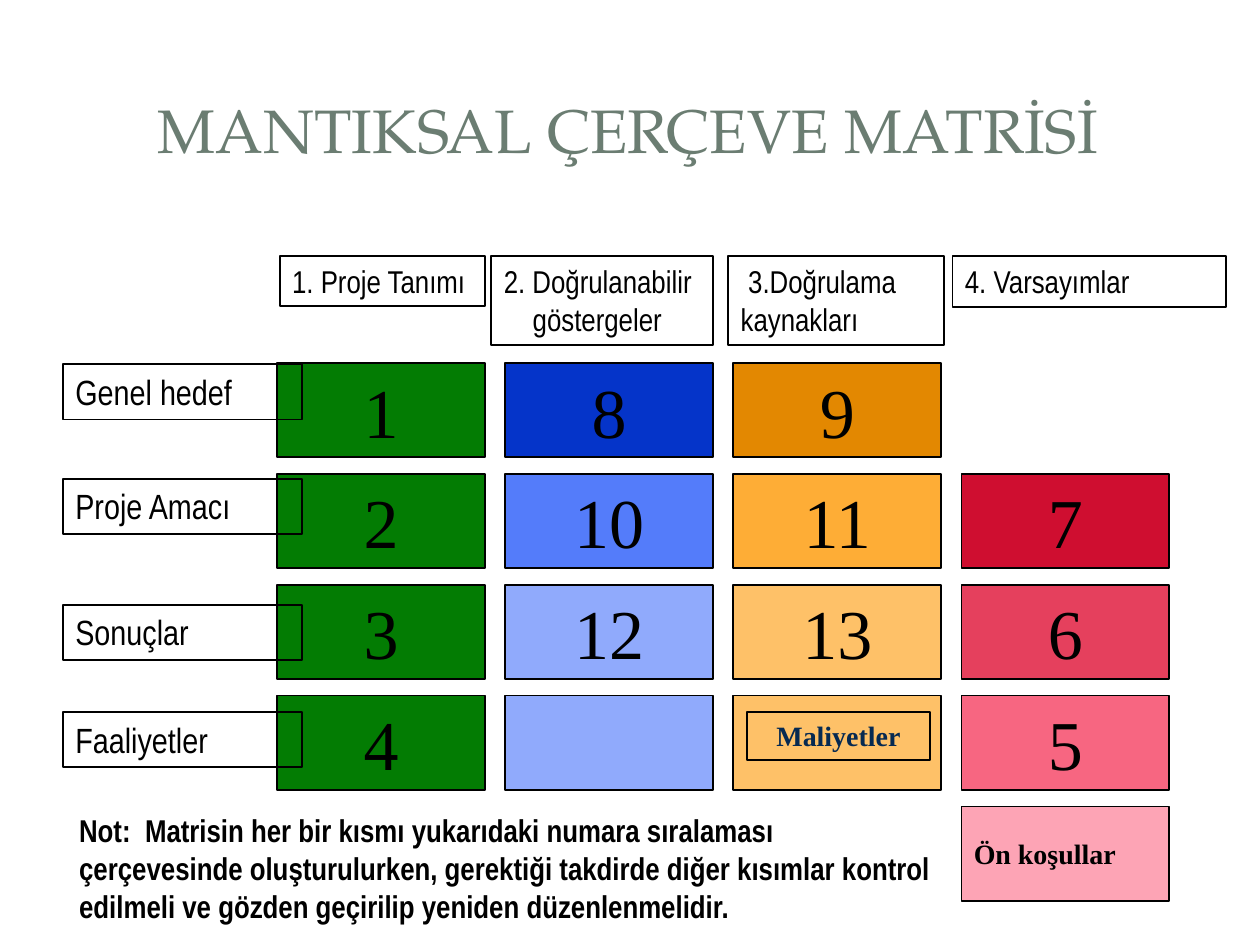
from pptx import Presentation
from pptx.dml.color import RGBColor
from pptx.enum.shapes import MSO_SHAPE
from pptx.enum.text import MSO_ANCHOR, PP_ALIGN
from pptx.util import Inches, Pt

RECTANGLE = MSO_SHAPE.RECTANGLE
TOP, MIDDLE = MSO_ANCHOR.TOP, MSO_ANCHOR.MIDDLE
LEFT, CENTER = PP_ALIGN.LEFT, PP_ALIGN.CENTER

SERIF, NARROW, TITLE_FONT = "Times New Roman", "Arial Narrow", "TeX Gyre Pagella"
COLOURS = {
    "title": "6B7D72", "ink": "000000", "costs": "062951", "green": "037C03",
    "blue": "0534C9", "mid blue": "547CFA", "light blue": "90AAFC",
    "orange": "E38801", "mid orange": "FEAD36", "light orange": "FEC168",
    "red": "CF0E30", "mid red": "E5405D", "light red": "F76681", "pink": "FDA4B5",
}

GRID_LEFT, GRID_TOP = 2.2, 2.88
COLUMN_STEP, ROW_STEP = 1.81, 0.88
CELL_WIDTH, CELL_HEIGHT = 1.65, 0.75

MATRIX = [
    [("1", "green"), ("8", "blue"), ("9", "orange"), None],
    [("2", "green"), ("10", "mid blue"), ("11", "mid orange"), ("7", "red")],
    [("3", "green"), ("12", "light blue"), ("13", "light orange"), ("6", "mid red")],
    [("4", "green"), ("", "light blue"), ("", "light orange"), ("5", "light red")],
]
COLUMN_HEADINGS = [
    ("1. Proje Tanımı", 2.22, 1.63, 0.4, 0, 0),
    ("2. Doğrulanabilir göstergeler", 3.9, 1.76, 0.71, 0.23, -0.23),
    ("3.Doğrulama kaynakları", 5.78, 1.71, 0.71, 0, 0.06),
    ("4. Varsayımlar", 7.56, 2.17, 0.41, 0, 0),
]
ROW_HEADINGS = [
    ("Genel hedef", 2.89), ("Proje Amacı", 3.8),
    ("Sonuçlar", 4.8), ("Faaliyetler", 5.65),
]
NOTE = (
    "Not:  Matrisin her bir kısmı yukarıdaki numara sıralaması çerçevesinde "
    "oluşturulurken, gerektiği takdirde diğer kısımlar kontrol edilmeli ve "
    "gözden geçirilip yeniden düzenlenmelidir."
)


def colour(name):
    return RGBColor.from_string(COLOURS[name])


def write(shape, text, font, size, ink="ink", bold=False, align=LEFT, anchor=TOP):
    frame = shape.text_frame
    frame.text = text
    frame.word_wrap = True
    frame.vertical_anchor = anchor
    paragraph = frame.paragraphs[0]
    paragraph.alignment = align
    for run in paragraph.runs:
        run.font.name = font
        run.font.size = Pt(size)
        run.font.bold = bold
        run.font.color.rgb = colour(ink)
    return paragraph


def add_box(slide, left, top, width, height, fill=None):
    box = slide.shapes.add_shape(
        RECTANGLE, Inches(left), Inches(top), Inches(width), Inches(height))
    box.shadow.inherit = False
    box.line.color.rgb = colour("ink")
    box.line.width = Pt(1)
    if fill:
        box.fill.solid()
        box.fill.fore_color.rgb = colour(fill)
    else:
        box.fill.background()
    return box


def add_cell(slide, column, row, fill):
    return add_box(slide, GRID_LEFT + column * COLUMN_STEP, GRID_TOP + row * ROW_STEP,
                   CELL_WIDTH, CELL_HEIGHT, fill)


def add_title(slide, text):
    title = slide.shapes.title
    title.left, title.top = Inches(0.47), Inches(0.45)
    title.width, title.height = Inches(9.03), Inches(1.14)
    write(title, text, TITLE_FONT, 35, "title", align=CENTER, anchor=MIDDLE)


def add_matrix(slide):
    for row, cells in enumerate(MATRIX):
        for column, content in enumerate(cells):
            if content:
                number, fill = content
                cell = add_cell(slide, column, row, fill)
                if number:
                    write(cell, number, SERIF, 40, align=CENTER, anchor=MIDDLE)
    preconditions = add_cell(slide, 3, 4, "pink")
    write(preconditions, "Ön koşullar", SERIF, 16, bold=True, anchor=MIDDLE)
    costs = add_box(slide, 5.93, 5.65, 1.45, 0.38)
    write(costs, "Maliyetler", SERIF, 16, "costs", bold=True, align=CENTER)


def add_headings(slide):
    for text, left, width, height, margin, indent in COLUMN_HEADINGS:
        box = add_box(slide, left, 2.03, width, height)
        properties = write(box, text, NARROW, 18)._p.get_or_add_pPr()
        properties.set("marL", str(Inches(margin)))
        properties.set("indent", str(Inches(indent)))
    for text, top in ROW_HEADINGS:
        write(add_box(slide, 0.5, top, 1.9, 0.44), text, NARROW, 20)


def add_note(slide):
    note = slide.shapes.add_textbox(
        Inches(0.53), Inches(6.39), Inches(6.96), Inches(1.01))
    write(note, NOTE, NARROW, 18, bold=True)


def main():
    presentation = Presentation()
    presentation.slide_width, presentation.slide_height = Inches(10), Inches(7.5)
    slide = presentation.slides.add_slide(presentation.slide_layouts[5])
    add_title(slide, "MANTIKSAL ÇERÇEVE MATRİSİ")
    add_matrix(slide)
    add_headings(slide)
    add_note(slide)
    presentation.save("out.pptx")


if __name__ == "__main__":
    main()
